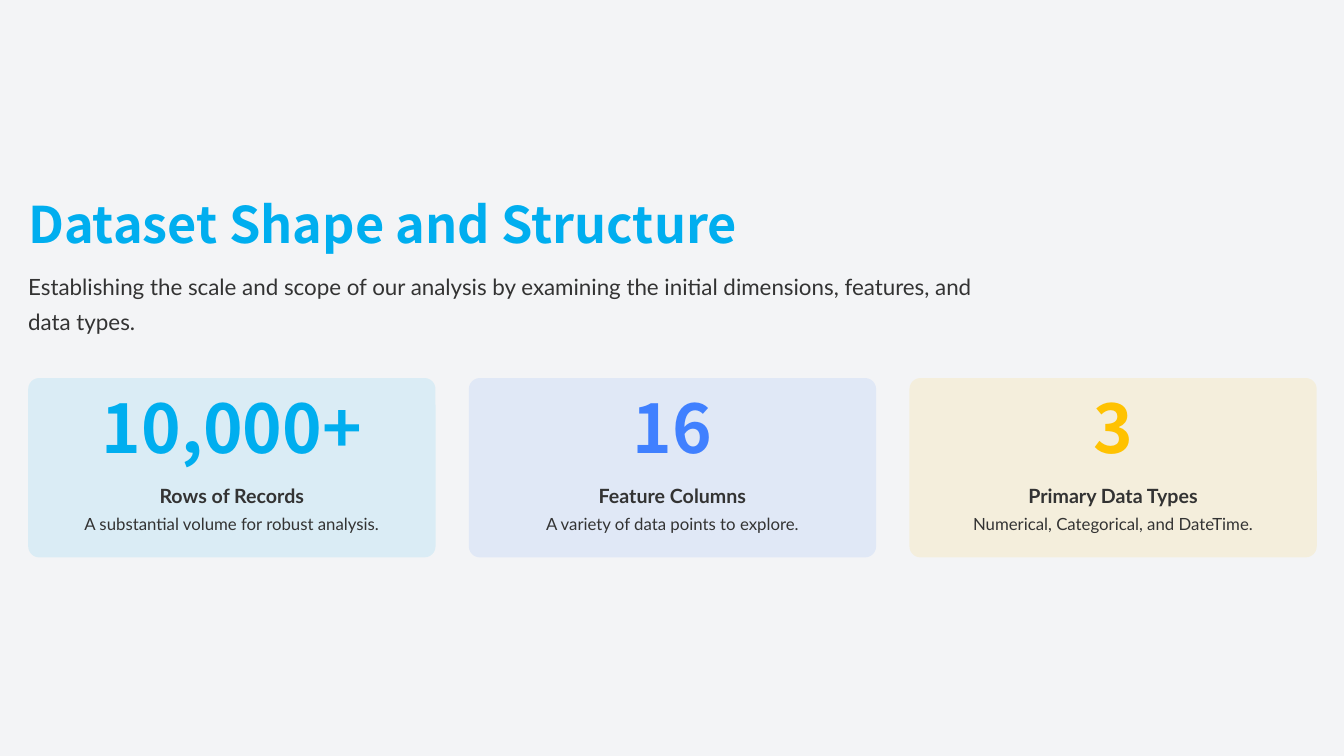
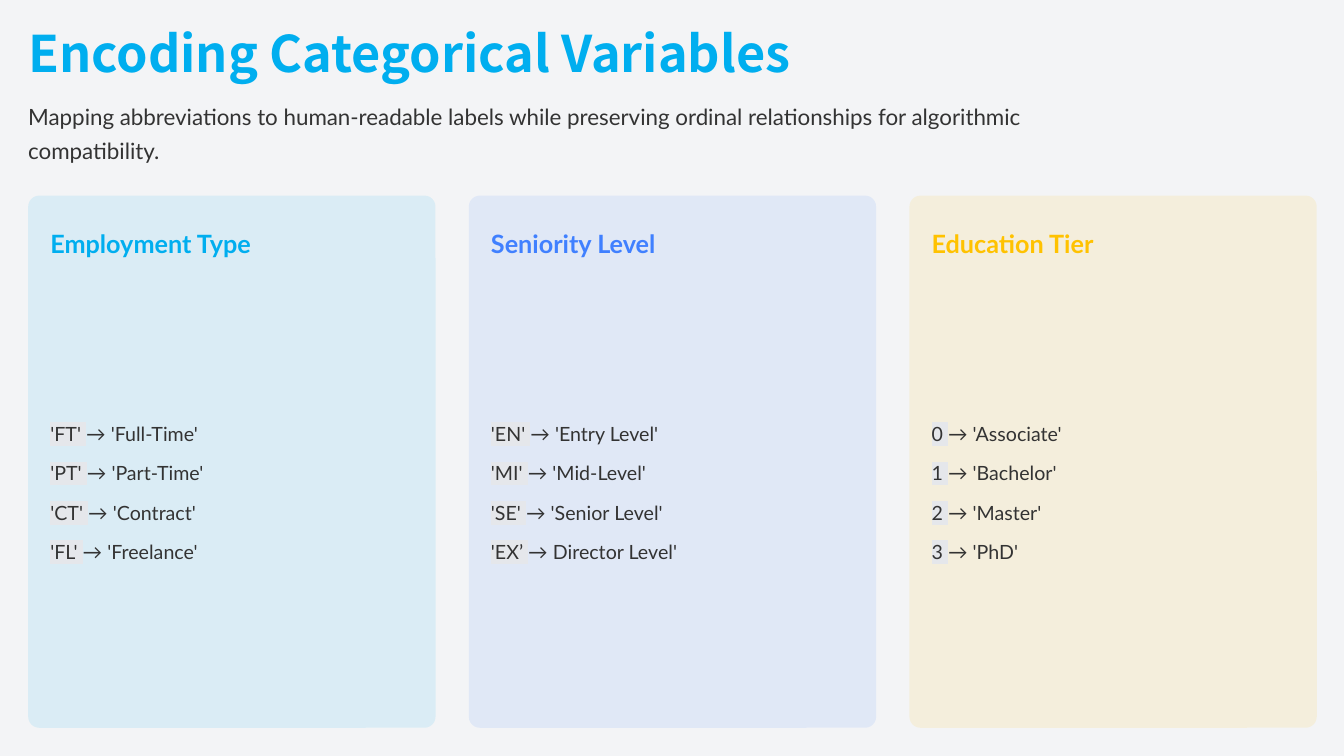
import pptx
import pptx.dml.color
import pptx.enum.shapes
import pptx.enum.text
import pptx.oxml.ns
import pptx.util
from lxml import etree

Inches = pptx.util.Inches
ALIGN = pptx.enum.text.PP_ALIGN

# Content
SHAPE_TITLE = "Dataset Shape and Structure"
SHAPE_INTRO = ("Establishing the scale and scope of our analysis by examining "
               "the initial dimensions, features, and data types.")
FACTS = [
    ("10,000+", "Rows of Records", "A substantial volume for robust analysis."),
    ("16", "Feature Columns", "A variety of data points to explore."),
    ("3", "Primary Data Types", "Numerical, Categorical, and DateTime."),
]
ENCODING_TITLE = "Encoding Categorical Variables"
ENCODING_INTRO = ("Mapping abbreviations to human-readable labels while preserving "
                  "ordinal relationships for algorithmic compatibility.")
ENCODINGS = [
    ("Employment Type", [("'FT'", "'Full-Time'"), ("'PT'", "'Part-Time'"),
                         ("'CT'", "'Contract'"), ("'FL'", "'Freelance'")]),
    ("Seniority Level", [("'EN'", "'Entry Level'"), ("'MI'", "'Mid-Level'"),
                         ("'SE'", "'Senior Level'"), ("'EX’", "Director Level'")]),
    ("Education Tier", [("0", "'Associate'"), ("1", "'Bachelor'"),
                        ("2", "'Master'"), ("3", "'PhD'")]),
]

# Shared style
COLORS = {"background": "F3F4F6", "title": "00AEEF", "body": "333333", "code": "E5E7EB",
          "cyan": "00AEEF", "blue": "4080FF", "amber": "FFC200"}
CARD_COLORS = ["cyan", "blue", "amber"]
HEADING_FONT, BODY_FONT = "Noto Sans CJK SC", "Lato"
MARGIN, CARD_WIDTH, CARD_GAP, CARD_RADIUS = 0.28, 4.04, 0.33, 0.11
CARD_PADDING = 0.22


def rgb(name):
    return pptx.dml.color.RGBColor.from_string(COLORS[name])


def add_text(slide, paragraphs, left, top, width, height, size, color="body",
             font=BODY_FONT, bold=False, align=ALIGN.LEFT, spacing=1.0, gap=0):
    """Place text; paragraphs is a string or a list of lists of (text, highlight)."""
    if isinstance(paragraphs, str):
        paragraphs = [[(paragraphs, None)]]
    box = slide.shapes.add_textbox(Inches(left), Inches(top), Inches(width), Inches(height))
    frame = box.text_frame
    frame.word_wrap = True
    frame.vertical_anchor = pptx.enum.text.MSO_ANCHOR.MIDDLE
    frame.margin_left = frame.margin_right = frame.margin_top = frame.margin_bottom = 0
    for index, runs in enumerate(paragraphs):
        paragraph = frame.add_paragraph() if index else frame.paragraphs[0]
        paragraph.alignment = align
        paragraph.line_spacing = spacing
        if index and gap:
            paragraph.space_before = pptx.util.Pt(gap)
        for text, highlight in runs:
            run = paragraph.add_run()
            run.text = text
            run.font.size = pptx.util.Pt(size)
            run.font.name = font
            run.font.bold = bold
            run.font.color.rgb = rgb(color)
            if highlight:
                mark = etree.Element(pptx.oxml.ns.qn("a:highlight"))
                etree.SubElement(mark, pptx.oxml.ns.qn("a:srgbClr"), val=COLORS[highlight])
                run.font._element.find(pptx.oxml.ns.qn("a:solidFill")).addnext(mark)


def add_header(slide, title, intro, top, intro_width):
    add_text(slide, title, MARGIN, top, 13.03, 0.56, size=36, color="title",
             font=HEADING_FONT, bold=True, spacing=0.9)
    add_text(slide, intro, MARGIN, top + 0.67, intro_width, 0.67, size=16, spacing=1.3)


def add_card(slide, column, top, height):
    """Draw a tinted card and return its left edge and accent colour."""
    left = MARGIN + column * (CARD_WIDTH + CARD_GAP)
    color = CARD_COLORS[column]
    card = slide.shapes.add_shape(
        pptx.enum.shapes.MSO_SHAPE.ROUNDED_RECTANGLE,
        Inches(left), Inches(top), Inches(CARD_WIDTH), Inches(height))
    card.adjustments[0] = CARD_RADIUS / min(CARD_WIDTH, height)
    card.shadow.inherit = False
    card.line.fill.background()
    card.fill.solid()
    card.fill.fore_color.rgb = rgb(color)
    tint = card._element.spPr.find(".//" + pptx.oxml.ns.qn("a:srgbClr"))
    etree.SubElement(tint, pptx.oxml.ns.qn("a:alpha"), val="10000")
    return left, color


def build_shape_slide(slide):
    add_header(slide, SHAPE_TITLE, SHAPE_INTRO, top=1.97, intro_width=9.44)
    for column, (figure, label, detail) in enumerate(FACTS):
        left, color = add_card(slide, column, top=3.75, height=1.78)
        add_text(slide, figure, left, 3.97, CARD_WIDTH, 0.67, size=48, color=color,
                 font=HEADING_FONT, bold=True, align=ALIGN.CENTER, spacing=0.8)
        add_text(slide, label, left, 4.75, CARD_WIDTH, 0.28, size=14, bold=True,
                 align=ALIGN.CENTER, spacing=1.2)
        add_text(slide, detail, left, 5.08, CARD_WIDTH, 0.22, size=12,
                 align=ALIGN.CENTER, spacing=1.1)


def build_encoding_slide(slide):
    add_header(slide, ENCODING_TITLE, ENCODING_INTRO, top=0.28, intro_width=10.78)
    for column, (heading, mappings) in enumerate(ENCODINGS):
        left, color = add_card(slide, column, top=1.94, height=5.28)
        text_left = left + CARD_PADDING
        text_width = CARD_WIDTH - 2 * CARD_PADDING
        add_text(slide, heading, text_left, 2.17, text_width, 0.39, size=18,
                 color=color, bold=True, spacing=1.3)
        rows = [[(f"{code} ", "code"), (f"→ {meaning}", None)] for code, meaning in mappings]
        add_text(slide, rows, text_left, 4.14, text_width, 1.45, size=14,
                 spacing=1.2, gap=8)


def main():
    deck = pptx.Presentation()
    deck.slide_width, deck.slide_height = Inches(13.33), Inches(7.5)
    backdrop = deck.slide_master.background.fill
    backdrop.solid()
    backdrop.fore_color.rgb = rgb("background")
    blank = deck.slide_layouts[6]
    for build in (build_shape_slide, build_encoding_slide):
        build(deck.slides.add_slide(blank))
    deck.save("out.pptx")


if __name__ == "__main__":
    main()
